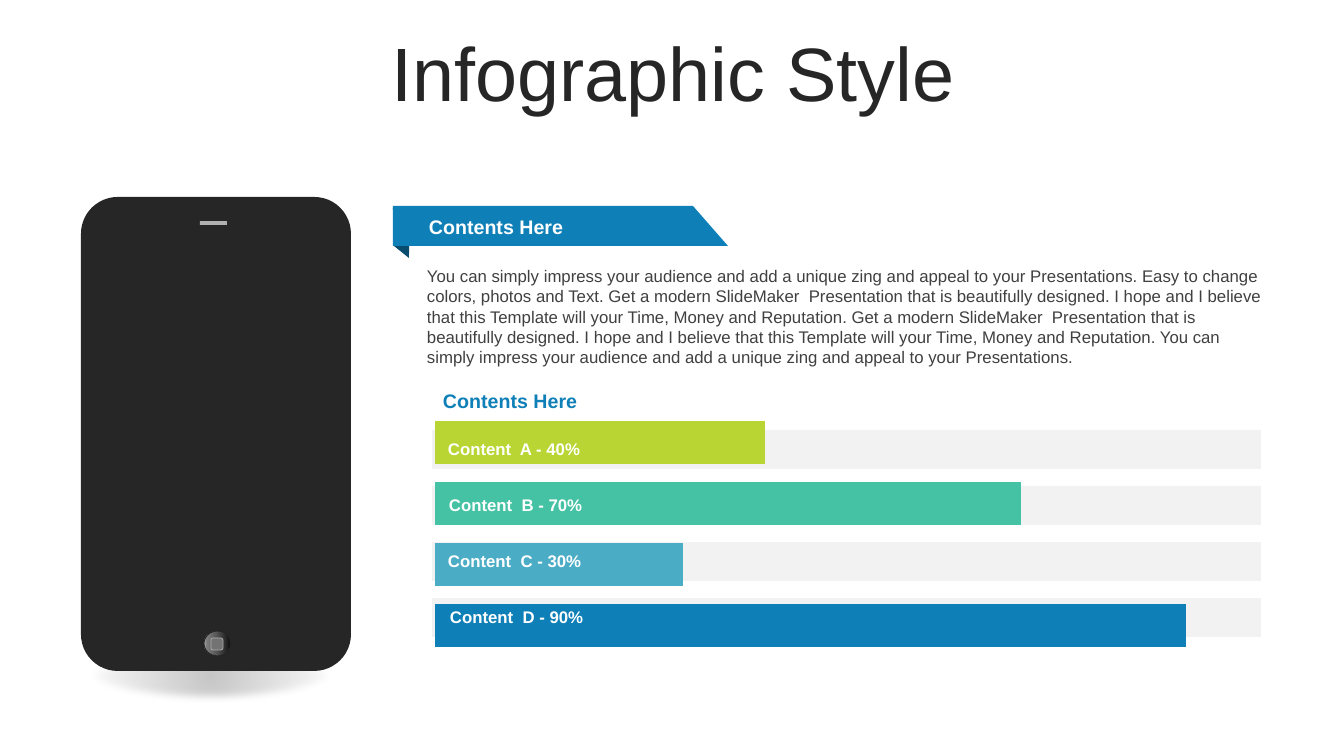
from dataclasses import dataclass

from lxml.etree import SubElement
from pptx import Presentation
from pptx.chart.data import CategoryChartData
from pptx.dml.color import RGBColor
from pptx.enum.chart import XL_CHART_TYPE
from pptx.enum.shapes import MSO_SHAPE
from pptx.enum.text import MSO_ANCHOR, PP_ALIGN
from pptx.oxml.ns import qn
from pptx.shapes.autoshape import Shape
from pptx.slide import Slide
from pptx.util import Pt

SCALE = 914400 / 100.8


@dataclass(frozen=True)
class Theme:
    font: str = "Arial"
    ink: str = "262626"
    body: str = "404040"
    blue: str = "0E7FB7"
    navy: str = "084C6E"
    track: str = "F2F2F2"
    light: str = "B0B0B0"
    white: str = "FFFFFF"
    title_size: int = 54
    head_size: int = 14
    text_size: int = 12


@dataclass(frozen=True)
class Box:
    left: int
    top: int
    width: int
    height: int

    def emu(self) -> tuple[int, ...]:
        sides = (self.left, self.top, self.width, self.height)
        return tuple(px(side) for side in sides)


@dataclass(frozen=True)
class Row:
    text: str
    left: int
    value: int
    color: str


@dataclass(frozen=True)
class Stop:
    place: int
    color: str
    alpha: int = 100


@dataclass(frozen=True)
class Label:
    text: str
    box: Box
    size: int
    color: str
    bold: bool = False
    centre: bool = False
    top: bool = False
    inset: int = 10


THEME = Theme()
ROWS = (
    Row("Content  A - 40%", 438, 44, "B9D533"),
    Row("Content  B - 70%", 439, 78, "45C1A4"),
    Row("Content  C - 30%", 438, 33, "4BACC6"),
    Row("Content  D - 90%", 440, 100, THEME.blue),
)
TRACK = Box(432, 430, 829, 39)
PITCH = 56
CHART = Box(417, 407, 870, 254)
PLOT = Box(435, 412, 751, 244)
SHADE = (Stop(0, "808080", 45), Stop(100, "808080", 0))
METAL = (Stop(0, "0F0F0F"), Stop(56, "595959"),
         Stop(91, "808080"), Stop(100, "BFBFBF"))
FOLD = ((410, 208), (393, 208), (394, 246), (409, 258))
RIBBON = ((393, 206), (693, 206), (728, 246), (393, 246))
BODY = (
    "You can simply impress your audience and add a unique zing and appeal to "
    "your Presentations. Easy to change colors, photos and Text. Get a modern "
    "SlideMaker  Presentation that is beautifully designed. I hope and I "
    "believe that this Template will your Time, Money and Reputation. Get a "
    "modern SlideMaker  Presentation that is beautifully designed. I hope and "
    "I believe that this Template will your Time, Money and Reputation. You "
    "can simply impress your audience and add a unique zing and appeal to "
    "your Presentations."
)
LABELS = (
    Label("Infographic Style", Box(35, 37, 1276, 80), THEME.title_size,
          THEME.ink, centre=True),
    Label("Contents Here", Box(417, 206, 254, 41), THEME.head_size,
          THEME.white, bold=True, inset=12),
    Label("Contents Here", Box(431, 385, 193, 31), THEME.head_size,
          THEME.blue, bold=True, inset=12),
    Label(BODY, Box(417, 261, 861, 112), THEME.text_size, THEME.body,
          top=True),
)


def px(count: int) -> int:
    return round(count * SCALE)


def rgb(code: str) -> RGBColor:
    return RGBColor.from_string(code)


def paint(shape: Shape, color: str) -> Shape:
    shape.shadow.inherit = False
    shape.fill.solid()
    shape.fill.fore_color.rgb = rgb(color)
    shape.line.fill.background()
    return shape


def add_form(slide: Slide, kind: MSO_SHAPE, box: Box, color: str) -> Shape:
    return paint(slide.shapes.add_shape(kind, *box.emu()), color)


def add_path(slide: Slide, points: tuple, color: str) -> None:
    pen = slide.shapes.build_freeform(*points[0], scale=SCALE)
    pen.add_line_segments(points[1:], close=True)
    paint(pen.convert_to_shape(), color)


def blend(shape: Shape, stops: tuple[Stop, ...], round_fill: bool) -> None:
    """Fill a shape with a round or a right-to-left gradient."""
    shape.fill.gradient()
    grad = shape.element.spPr.find(qn("a:gradFill"))
    grad.clear()
    group = SubElement(grad, qn("a:gsLst"))
    for stop in stops:
        mark = SubElement(group, qn("a:gs"), pos=str(stop.place * 1000))
        color = SubElement(mark, qn("a:srgbClr"), val=stop.color)
        SubElement(color, qn("a:alpha"), val=str(stop.alpha * 1000))
    if round_fill:
        path = SubElement(grad, qn("a:path"), path="circle")
        SubElement(path, qn("a:fillToRect"),
                   dict.fromkeys("ltrb", "50000"))
    else:
        SubElement(grad, qn("a:lin"), ang="10800000", scaled="0")


def add_label(slide: Slide, label: Label) -> None:
    frame = slide.shapes.add_textbox(*label.box.emu()).text_frame
    frame.word_wrap = True
    frame.vertical_anchor = MSO_ANCHOR.TOP if label.top else MSO_ANCHOR.MIDDLE
    frame.margin_left = px(label.inset)
    line = frame.paragraphs[0]
    if label.centre:
        line.alignment = PP_ALIGN.CENTER
        line.line_spacing = 0.9
    run = line.add_run()
    run.text = label.text
    run.font.name = THEME.font
    run.font.size = Pt(label.size)
    run.font.bold = label.bold
    run.font.color.rgb = rgb(label.color)


def add_phone(slide: Slide) -> None:
    shade = add_form(slide, MSO_SHAPE.OVAL, Box(80, 648, 262, 56), THEME.light)
    blend(shade, SHADE, True)
    effects = shade.element.spPr.find(qn("a:effectLst"))
    SubElement(effects, qn("a:softEdge"), rad=str(px(8)))
    case = add_form(slide, MSO_SHAPE.ROUNDED_RECTANGLE,
                    Box(81, 197, 270, 474), THEME.ink)
    case.adjustments[0] = 0.136
    add_form(slide, MSO_SHAPE.RECTANGLE, Box(200, 221, 27, 4), THEME.light)
    home = add_form(slide, MSO_SHAPE.OVAL, Box(204, 631, 27, 25), THEME.ink)
    blend(home, METAL, False)
    home.line.color.rgb = rgb(THEME.ink)
    home.line.width = 0
    key = add_form(slide, MSO_SHAPE.ROUNDED_RECTANGLE,
                   Box(211, 638, 12, 12), "737373")
    key.line.color.rgb = rgb(THEME.light)
    key.line.width = Pt(0.5)


def place_plot(area) -> None:
    """Pin the bars to the PLOT box inside the CHART box."""
    for old in area.findall(qn("c:layout")):
        area.remove(old)
    layout = SubElement(area, qn("c:layout"))
    area.insert(0, layout)
    manual = SubElement(layout, qn("c:manualLayout"))
    parts = {
        "layoutTarget": "inner", "xMode": "edge", "yMode": "edge",
        "x": (PLOT.left - CHART.left) / CHART.width,
        "y": (PLOT.top - CHART.top) / CHART.height,
        "w": PLOT.width / CHART.width,
        "h": PLOT.height / CHART.height,
    }
    for name, value in parts.items():
        SubElement(manual, qn(f"c:{name}"), val=str(value))


def add_bars(slide: Slide) -> None:
    rows = ROWS[::-1]
    data = CategoryChartData()
    data.categories = [str(i + 1) for i in range(len(rows))]
    data.add_series("Series 1", [row.value for row in rows])
    chart = slide.shapes.add_chart(
        XL_CHART_TYPE.BAR_STACKED, *CHART.emu(), data).chart
    chart.has_legend = chart.has_title = False
    chart.font.name = THEME.font
    chart.font.size = Pt(THEME.text_size)
    chart.font.color.rgb = rgb("000000")
    scale = chart.value_axis
    scale.minimum_scale, scale.maximum_scale = 0, 100
    scale.has_major_gridlines = False
    scale.visible = chart.category_axis.visible = False
    plot = chart.plots[0]
    plot.gap_width, plot.overlap = 40, 100
    plot.vary_by_categories = False
    bars = plot.series[0]
    bars.format.fill.solid()
    bars.format.fill.fore_color.rgb = rgb(THEME.body)
    for i, row in enumerate(rows):
        fill = bars.points[i].format.fill
        fill.solid()
        fill.fore_color.rgb = rgb(row.color)
    place_plot(chart.element.find(".//" + qn("c:plotArea")))


def main() -> None:
    deck = Presentation()
    deck.slide_width, deck.slide_height = px(1344), px(756)
    slide = deck.slides.add_slide(deck.slide_layouts[6])
    add_phone(slide)
    add_path(slide, FOLD, THEME.navy)
    add_path(slide, RIBBON, THEME.blue)
    tops = [TRACK.top + PITCH * i for i in range(len(ROWS))]
    for top in tops:
        add_form(slide, MSO_SHAPE.RECTANGLE,
                 Box(TRACK.left, top, TRACK.width, TRACK.height), THEME.track)
    add_bars(slide)
    for row, top in zip(ROWS, tops):
        add_label(slide, Label(row.text, Box(row.left, top + 4, 172, 30),
                               THEME.text_size, THEME.white, bold=True))
    for label in LABELS:
        add_label(slide, label)
    deck.save("out.pptx")


if __name__ == "__main__":
    main()
